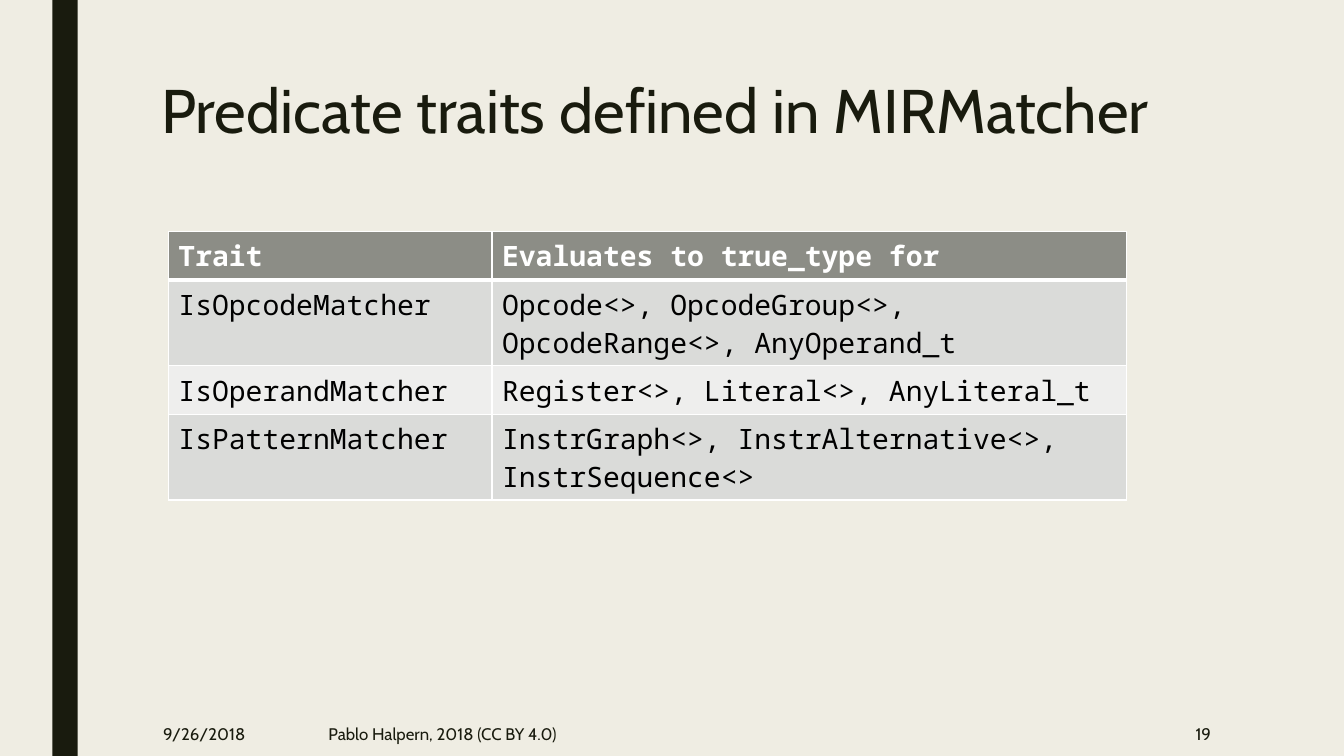
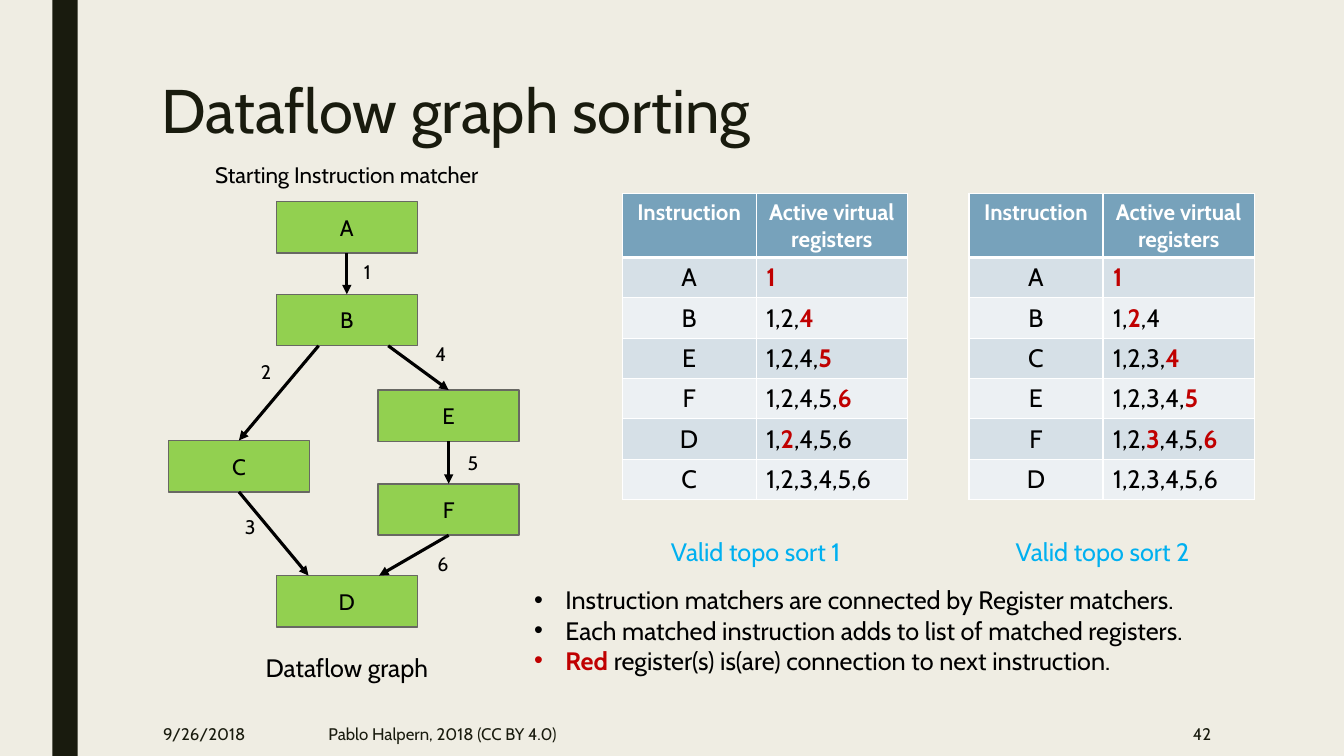
import pptx
import pptx.dml.color
import pptx.enum.shapes
import pptx.enum.text
import pptx.oxml
import pptx.oxml.ns
import pptx.util

Inches = pptx.util.Inches
Pt = pptx.util.Pt
ALIGN = pptx.enum.text.PP_ALIGN
ANCHOR = pptx.enum.text.MSO_ANCHOR

SANS = "Cabin"
MONO = "Noto Sans Mono"
PAPER = "EFEDE3"
INK = "191B0E"
BLACK = "000000"
WHITE = "FFFFFF"
RED = "C00000"
GREEN = "92D050"
NODE_EDGE = "686863"
CAPTION_BLUE = "00B0F0"
GRAY_TABLE = ("8C8D86", "DADBD9", "EEEEED")  # header, odd row, even row
BLUE_TABLE = ("77A2BB", "D6E0E7", "ECF0F3")

NODE_WIDTH, NODE_HEIGHT = 1.4, 0.51
NODES = {
    "A": (2.74, 2), "B": (2.74, 2.92), "C": (1.67, 4.37),
    "D": (2.74, 5.71), "E": (3.75, 3.87), "F": (3.75, 4.8),
}
# source, target, shifts from their centres, register number, its position
EDGES = [
    ("A", "B", 0, 0, "1", (3.51, 2.53)),
    ("B", "C", -0.28, 0, "2", (2.49, 3.52)),
    ("C", "D", 0, -0.38, "3", (2.33, 5.06)),
    ("B", "E", 0.41, 0, "4", (4.22, 3.34)),
    ("E", "F", 0, 0, "5", (4.54, 4.42)),
    ("F", "D", 0, 0.32, "6", (4.24, 5.43)),
]

ONE_LINE, TWO_LINES = 0.48, 0.85  # heights of rows in the traits table
TRAITS = [
    ("Trait", "Evaluates to true_type for"),
    ("IsOpcodeMatcher", "Opcode<>, OpcodeGroup<>, OpcodeRange<>, AnyOperand_t"),
    ("IsOperandMatcher", "Register<>, Literal<>, AnyLiteral_t"),
    ("IsPatternMatcher", "InstrGraph<>, InstrAlternative<>, InstrSequence<>"),
]

# Asterisks enclose the words to be shown in bold red.
SORT_HEADER = ("Instruction", "Active virtual registers")
SORTS = [
    [("A", "*1*"), ("B", "1,2,*4*"), ("E", "1,2,4,*5*"),
     ("F", "1,2,4,5,*6*"), ("D", "1,*2*,4,5,6"), ("C", "1,2,3,4,5,6")],
    [("A", "*1*"), ("B", "1,*2*,4"), ("C", "1,2,3,*4*"),
     ("E", "1,2,3,4,*5*"), ("F", "1,2,*3*,4,5,*6*"), ("D", "1,2,3,4,5,6")],
]
NOTES = [
    "Instruction matchers are connected by Register matchers.",
    "Each matched instruction adds to list of matched registers.",
    "*Red* register(s) is(are) connection to next instruction.",
]


def rgb(color):
    return pptx.dml.color.RGBColor.from_string(color)


def inches(*lengths):
    return [Inches(length) for length in lengths]


def write(frame, *lines, size=16, font=SANS, color=BLACK, bold=False,
          align=ALIGN.LEFT, spacing=None, bullet=False):
    """Fill a text frame, one paragraph a line; *marked* words turn bold red."""
    frame.word_wrap = True
    for index, line in enumerate(lines):
        para = frame.add_paragraph() if index else frame.paragraphs[0]
        para.alignment = align
        if spacing:
            para.line_spacing = spacing
        if bullet:
            add_bullet(para)
        for part, words in enumerate(line.split("*")):
            if not words:
                continue
            marked = part % 2 == 1
            span = para.add_run()
            span.text = words
            span.font.size = Pt(size)
            span.font.name = font
            span.font.bold = bold or marked
            span.font.color.rgb = rgb(RED if marked else color)


def add_bullet(para):
    properties = para._p.get_or_add_pPr()
    properties.set("marL", str(Inches(0.31)))
    properties.set("indent", str(Inches(-0.31)))
    for tag, name, value in (("a:buFont", "typeface", "Arial"),
                             ("a:buChar", "char", "•")):
        mark = pptx.oxml.ns.qn(tag)
        properties.append(properties.makeelement(mark, {name: value}))


def add_text(page, position, *lines, anchor=ANCHOR.TOP, **style):
    box = page.shapes.add_textbox(*inches(*position))
    box.text_frame.vertical_anchor = anchor
    write(box.text_frame, *lines, **style)


def add_rectangle(page, position, fill, line=None):
    kind = pptx.enum.shapes.MSO_SHAPE.RECTANGLE
    box = page.shapes.add_shape(kind, *inches(*position))
    box.shadow.inherit = False
    box.fill.solid()
    box.fill.fore_color.rgb = rgb(fill)
    if line:
        box.line.color.rgb = rgb(line)
        box.line.width = Pt(1)
    else:
        box.line.fill.background()
    return box


def add_arrow(page, start, end):
    kind = pptx.enum.shapes.MSO_CONNECTOR.STRAIGHT
    arrow = page.shapes.add_connector(kind, *inches(*start, *end))
    arrow.line.color.rgb = rgb(BLACK)
    arrow.line.width = Pt(2.25)
    outline = arrow.line._get_or_add_ln()
    head = pptx.oxml.ns.qn("a:tailEnd")
    outline.append(outline.makeelement(head, {"type": "triangle"}))
    properties = arrow._element.spPr
    properties.append(properties.makeelement(pptx.oxml.ns.qn("a:effectLst"), {}))


def set_borders(cell, top=1, bottom=1):
    """Draw white cell borders; top and bottom are widths in points."""
    properties = cell._tc.get_or_add_tcPr()
    widths = (("lnL", 1), ("lnR", 1), ("lnT", top), ("lnB", bottom))
    for index, (side, width) in enumerate(widths):
        border = pptx.oxml.parse_xml(
            f'<a:{side} {pptx.oxml.ns.nsdecls("a")} w="{Pt(width)}"><a:solidFill>'
            f'<a:srgbClr val="{WHITE}"/></a:solidFill></a:{side}>')
        properties.insert(index, border)


def add_grid(page, position, rows, widths, heights, fills, header_style,
             column_styles):
    """Add a banded table whose first row is the header."""
    size = (sum(widths), sum(heights))
    grid = page.shapes.add_table(len(rows), len(widths),
                                 *inches(*position, *size)).table
    for column, width in zip(grid.columns, widths):
        column.width = Inches(width)
    for row, (texts, height) in enumerate(zip(rows, heights)):
        grid.rows[row].height = Inches(height)
        fill = fills[0] if row == 0 else fills[2 - row % 2]
        for column, text in enumerate(texts):
            cell = grid.cell(row, column)
            cell.fill.solid()
            cell.fill.fore_color.rgb = rgb(fill)
            set_borders(cell, top=3 if row == 1 else 1, bottom=3 if row == 0 else 1)
            style = column_styles[column] if row else header_style
            write(cell.text_frame, text, **style)


def add_page(deck, title, number):
    page = deck.slides.add_slide(deck.slide_layouts[6])
    page.background.fill.solid()
    page.background.fill.fore_color.rgb = rgb(PAPER)
    add_rectangle(page, (0.52, 0, 0.25, 7.5), INK)
    add_text(page, (1.5, 0.75, 10.5, 1.62), title, size=44, color=INK, spacing=0.89)
    footers = [
        (1.52, 1.32, "9/26/2018", ALIGN.LEFT),
        (3.16, 6.87, "Pablo Halpern, 2018 (CC BY 4.0)", ALIGN.LEFT),
        (10.36, 1.75, str(number), ALIGN.RIGHT),
    ]
    for left, width, text, align in footers:
        add_text(page, (left, 7.06, width, 0.44), text, anchor=ANCHOR.MIDDLE,
                 size=12, color=INK, align=align)
    return page


def add_graph(page):
    add_text(page, (1.68, 1.55, 3.52, 0.37), "Starting Instruction matcher",
             align=ALIGN.CENTER)
    for name, (left, top) in NODES.items():
        node = add_rectangle(page, (left, top, NODE_WIDTH, NODE_HEIGHT),
                             GREEN, NODE_EDGE)
        node.text_frame.vertical_anchor = ANCHOR.MIDDLE
        write(node.text_frame, name, align=ALIGN.CENTER)
    for source, target, source_shift, target_shift, register, place in EDGES:
        left, top = NODES[source]
        start = (left + NODE_WIDTH / 2 + source_shift, top + NODE_HEIGHT)
        left, top = NODES[target]
        add_arrow(page, start, (left + NODE_WIDTH / 2 + target_shift, top))
        add_text(page, (*place, 0.32, 0.34), register, size=14)
    add_text(page, (2.48, 6.42, 1.92, 0.4), "Dataflow graph", size=18,
             align=ALIGN.CENTER)


def add_traits_page(deck):
    page = add_page(deck, "Predicate traits defined in MIRMatcher", 19)
    body = {"size": 20, "font": MONO}
    header = {**body, "color": WHITE, "bold": True}
    heights = (ONE_LINE, TWO_LINES, ONE_LINE, TWO_LINES)
    add_grid(page, (1.67, 2.3), TRAITS, (3.21, 6.29), heights, GRAY_TABLE,
             header, (body, body))


def add_sorting_page(deck):
    page = add_page(deck, "Dataflow graph sorting", 42)
    add_graph(page)
    header = {"color": WHITE, "bold": True, "align": ALIGN.CENTER}
    columns = ({"size": 18, "align": ALIGN.CENTER}, {"size": 18})
    for index, steps in enumerate(SORTS):
        left = 6.17 + 3.44 * index
        heights = [0.63] + [0.4] * len(steps)
        add_grid(page, (left, 1.92), [SORT_HEADER, *steps], (1.33, 1.5), heights,
                 BLUE_TABLE, header, columns)
        add_text(page, (left + 0.3, 5.27, 2.05, 0.4),
                 f"Valid topo sort {index + 1}", size=18, color=CAPTION_BLUE,
                 align=ALIGN.CENTER)
    add_text(page, (5.2, 5.75, 7.25, 1.01), *NOTES, size=18, bullet=True)


def main():
    deck = pptx.Presentation()
    deck.slide_width, deck.slide_height = inches(13.33, 7.5)
    add_traits_page(deck)
    add_sorting_page(deck)
    deck.save("out.pptx")


if __name__ == "__main__":
    main()
